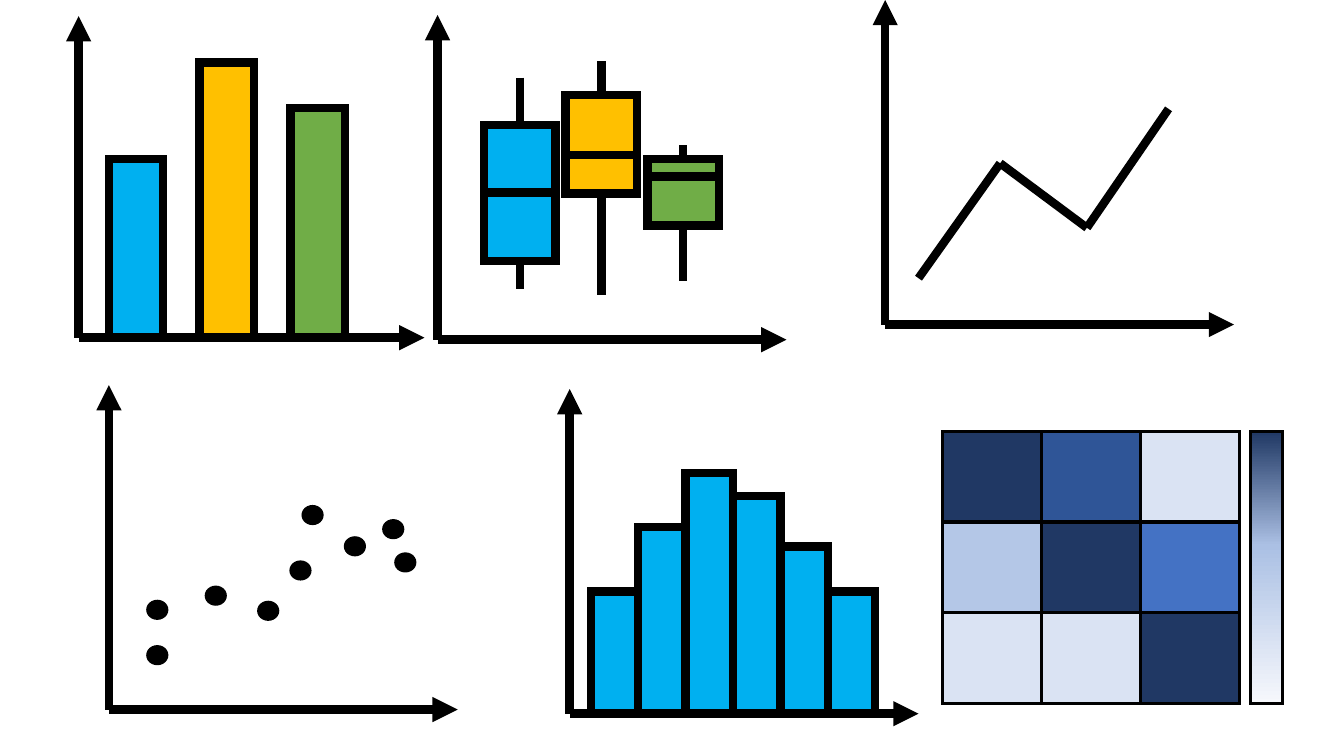
from itertools import pairwise

from lxml import etree
from pptx import Presentation
from pptx import util as u
from pptx.dml.color import RGBColor
from pptx.enum import shapes
from pptx.oxml.ns import qn

# The grid has square cells, one inch wide and high
CELL = u.Inches(1)
INK, BLUE, GOLD, GREEN = "000000", "00B0F0", "FFC000", "70AD47"
NAVY, DEEP, MID, SOFT, PALE = "203864", "2F5597", "4472C4", "B4C7E7", "DAE3F3"
BOLD, THIN = 6, 2.25
RECT, OVAL = shapes.MSO_SHAPE.RECTANGLE, shapes.MSO_SHAPE.OVAL


def grid(*cells):
    return [round(c * CELL) for c in cells]


def color(fill, tone):
    fill.solid()
    fill.fore_color.rgb = RGBColor.from_string(tone)


def stroke(item, width):
    color(item.line.fill, INK)
    item.line.width = u.Pt(width)
    ln = item.element.spPr.find(qn("a:ln"))
    etree.SubElement(ln, qn("a:miter"), lim="800000")
    return ln


def shape(group, x, y, w, h, tone, width=BOLD, kind=RECT):
    item = group.shapes.add_shape(kind, *grid(x, y, w, h))
    item.shadow.inherit = False
    color(item.fill, tone)
    if width:
        stroke(item, width)
    else:
        item.line.fill.background()
    return item


def line(group, start, end, arrow=False):
    item = group.shapes.add_connector(
        shapes.MSO_CONNECTOR.STRAIGHT, *grid(*start, *end))
    ln = stroke(item, BOLD)
    if arrow:
        etree.SubElement(ln, qn("a:tailEnd"), type="triangle")
    etree.SubElement(item.element.spPr, qn("a:effectLst"))


def axes(group, x, y, wide=3.46, high=3.22):
    line(group, (x, y), (x, y - high), True)
    line(group, (x, y), (x + wide, y), True)


def bars(group, x, base, step, wide, data):
    for i, (high, tone) in enumerate(data):
        shape(group, x + i * step, base - high, wide, high, tone)


def box(group, x, top, base, mid, low, peak, tone):
    wide = 0.71
    shape(group, x, top, wide, base - top, tone)
    line(group, (x, mid), (x + wide, mid))
    for ends in ((peak, top), (base, low)):
        line(group, *((x + wide / 2, y) for y in ends))


def fade(item, stops):
    item.fill.gradient()
    item.fill.gradient_angle = 270
    gs = item.element.spPr.find(qn("a:gradFill")).find(qn("a:gsLst"))
    for old in list(gs):
        gs.remove(old)
    for pos, tone in stops:
        stop = etree.SubElement(gs, qn("a:gs"), pos=str(pos * 1000))
        etree.SubElement(stop, qn("a:srgbClr"), val=tone)


def heat(group, x, y, wide, high, rows):
    for r, row in enumerate(rows):
        for c, tone in enumerate(row):
            shape(group, x + c * wide, y + r * high, wide, high, tone, THIN)
    key = shape(group, x + 3.05, y, 0.32, len(rows) * high, SOFT, THIN)
    fade(key, [(0, NAVY), (42, "ABC0E4"), (100, "F6F8FC")])


def main():
    deck = Presentation()
    deck.slide_width, deck.slide_height = grid(13.33, 7.5)
    slide = deck.slides.add_slide(deck.slide_layouts[6])
    group = slide.shapes.add_group_shape

    # Box plot: left, top, base, median, low and high whisker
    plot = group()
    for data in ((4.8, 1.24, 2.59, 1.91, 2.87, 0.77, BLUE),
                 (5.61, 0.94, 1.92, 1.54, 2.93, 0.61, GOLD),
                 (6.42, 1.58, 2.24, 1.75, 2.79, 1.44, GREEN)):
        box(plot, *data)
    axes(plot, 4.34, 3.37)

    # Bar chart
    chart = group()
    axes(chart, 0.78, 3.35, 3.43, 3.19)
    bars(chart, 1.08, 3.35, 0.9, 0.54,
         [(1.77, BLUE), (2.73, GOLD), (2.28, GREEN)])

    # Scatter plot
    cloud = group()
    axes(cloud, 1.08, 7.04)
    for x, y in ((1.45, 6.4), (1.45, 5.95), (2.03, 5.81), (2.55, 5.96),
                 (2.87, 5.56), (3.41, 5.32), (2.99, 5.01), (3.79, 5.15),
                 (3.91, 5.48)):
        shape(cloud, x, y, 0.22, 0.2, INK, 0, OVAL)

    # Histogram
    hist = group()
    axes(hist, 5.65, 7.08)
    bars(hist, 5.86, 7.08, 0.47, 0.47,
         [(high, BLUE) for high in (1.21, 1.85, 2.39, 2.16, 1.66, 1.21)])

    # Line chart
    trend = group()
    axes(trend, 8.78, 3.22)
    for ends in pairwise(((9.11, 2.76), (9.92, 1.62), (10.78, 2.26),
                          (11.59, 1.08))):
        line(trend, *ends)

    # Heat map with its colour key
    heat(group(), 9.35, 4.28, 0.98, 0.9,
         [(NAVY, DEEP, PALE), (SOFT, NAVY, MID), (PALE, PALE, NAVY)])

    deck.save("out.pptx")


main()
